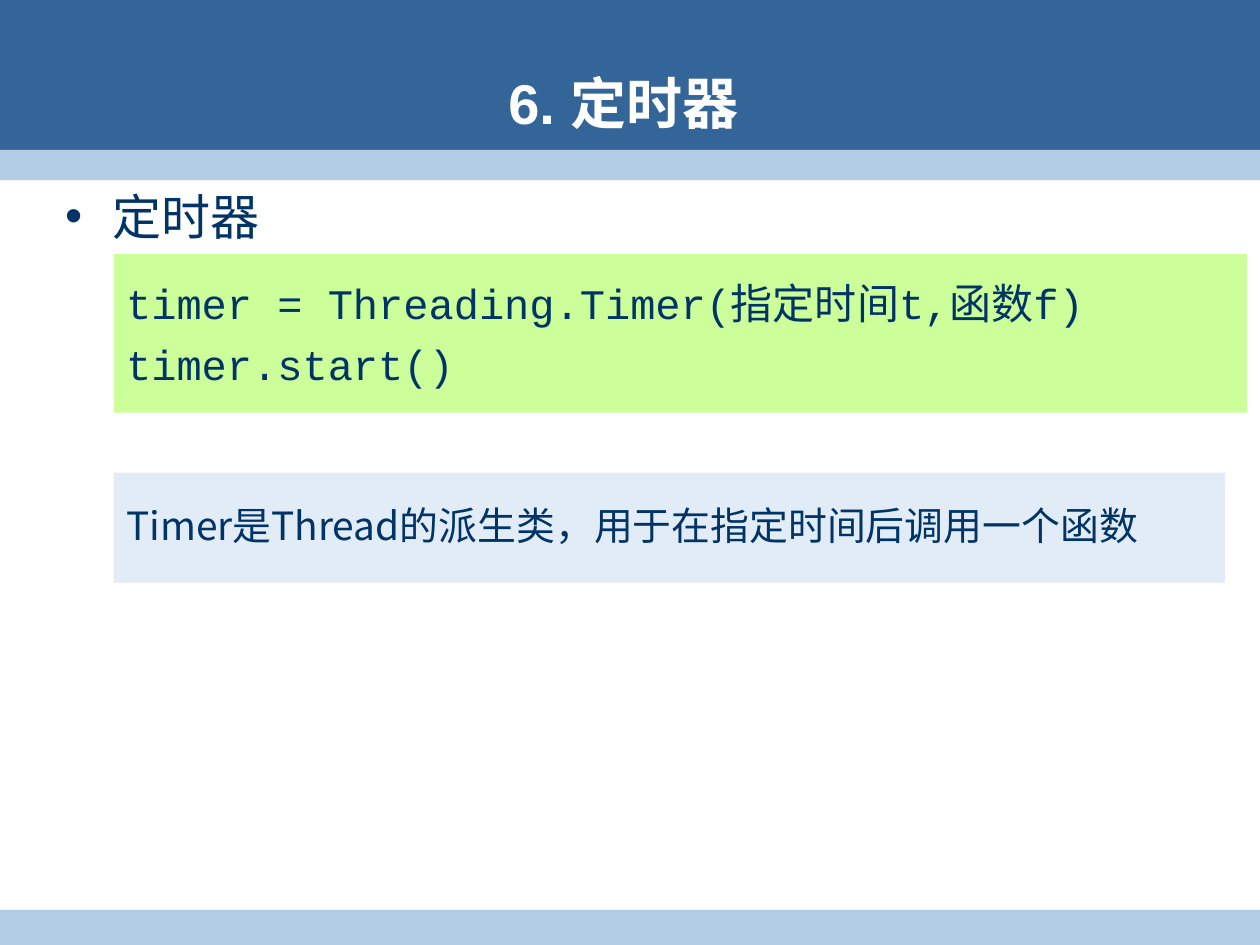
from dataclasses import dataclass

from lxml.etree import SubElement
from pptx import Presentation
from pptx.dml.color import RGBColor
from pptx.enum.shapes import MSO_SHAPE
from pptx.enum.text import MSO_ANCHOR, PP_ALIGN
from pptx.oxml.ns import qn
from pptx.util import Pt


@dataclass(frozen=True)
class Theme:
    header: str = "336599"
    stripe: str = "B3CCE6"
    code_fill: str = "CCFF99"
    note_fill: str = "E2ECF6"
    ink: str = "003366"
    white: str = "FFFFFF"
    cjk: str = "Noto Sans CJK SC"
    sans: str = "Arial"
    mono: str = "Courier New"
    title_size: float = 32
    bullet_size: float = 28
    code_size: float = 24
    note_size: float = 22.2


@dataclass(frozen=True)
class Area:
    left: float
    top: float
    width: float
    height: float

    def lengths(self) -> tuple:
        return Pt(self.left), Pt(self.top), Pt(self.width), Pt(self.height)


THEME = Theme()


def add_panel(page, area: Area, fill: str):
    """Draw a plain filled rectangle without outline or shadow."""
    panel = page.shapes.add_shape(MSO_SHAPE.RECTANGLE, *area.lengths())
    panel.shadow.inherit = False
    panel.fill.solid()
    panel.fill.fore_color.rgb = RGBColor.from_string(fill)
    panel.line.fill.background()
    return panel


def write(box, text: str, *, font: str, size: float, color: str = THEME.ink,
          bold: bool = False, align=PP_ALIGN.LEFT, anchor=MSO_ANCHOR.MIDDLE,
          after: float = 0, spacing: float = 1.0, bullet_indent: float = 0) -> None:
    """Fill a box with one paragraph for each line of text."""
    frame = box.text_frame
    frame.word_wrap = True
    frame.vertical_anchor = anchor
    for index, line in enumerate(text.split("\n")):
        para = frame.paragraphs[0] if index == 0 else frame.add_paragraph()
        if bullet_indent:
            add_bullet(para, bullet_indent, color)
        para.alignment = align
        para.space_after = Pt(after)
        para.line_spacing = spacing
        span = para.add_run()
        span.text = line
        span.font.size = Pt(size)
        span.font.bold = bold
        span.font.color.rgb = RGBColor.from_string(color)
        span.font.name = font
        SubElement(span.font._element, qn("a:ea"), typeface=THEME.cjk)


def add_bullet(para, indent: float, color: str) -> None:
    """Give a paragraph a round bullet with a hanging indent."""
    properties = para._p.get_or_add_pPr()
    properties.set("marL", str(Pt(indent)))
    properties.set("indent", str(-Pt(indent)))
    bullet_color = SubElement(properties, qn("a:buClr"))
    SubElement(bullet_color, qn("a:srgbClr"), val=color)
    SubElement(properties, qn("a:buFont"), typeface=THEME.sans)
    SubElement(properties, qn("a:buChar"), char="•")


def main() -> None:
    deck = Presentation()
    deck.slide_width, deck.slide_height = Pt(720), Pt(540)
    page = deck.slides.add_slide(deck.slide_layouts[6])

    # Header and footer bands
    add_panel(page, Area(0, 0, 720, 94.3), THEME.header)
    add_panel(page, Area(0, 85.7, 720, 17.3), THEME.stripe)
    add_panel(page, Area(0, 520, 720, 20), THEME.stripe)

    # Title
    title = page.shapes.add_textbox(*Area(30.2, 37.4, 652.3, 41.8).lengths())
    write(title, "6. 定时器", font=THEME.sans, size=THEME.title_size,
          color=THEME.white, bold=True, align=PP_ALIGN.CENTER)

    # Topic bullet
    topic = page.shapes.add_textbox(*Area(30.2, 103, 682.6, 42).lengths())
    write(topic, "定时器", font=THEME.cjk, size=THEME.bullet_size,
          anchor=MSO_ANCHOR.TOP, bullet_indent=27)

    # Code sample
    code = add_panel(page, Area(65, 145.2, 647.5, 90.7), THEME.code_fill)
    write(code, "timer = Threading.Timer(指定时间t,函数f)\ntimer.start()",
          font=THEME.mono, size=THEME.code_size, after=6)

    # Explanation
    note = add_panel(page, Area(65, 270, 635, 63), THEME.note_fill)
    write(note, "Timer是Thread的派生类，用于在指定时间后调用一个函数",
          font=THEME.cjk, size=THEME.note_size, spacing=0.9)

    deck.save("out.pptx")


if __name__ == "__main__":
    main()
